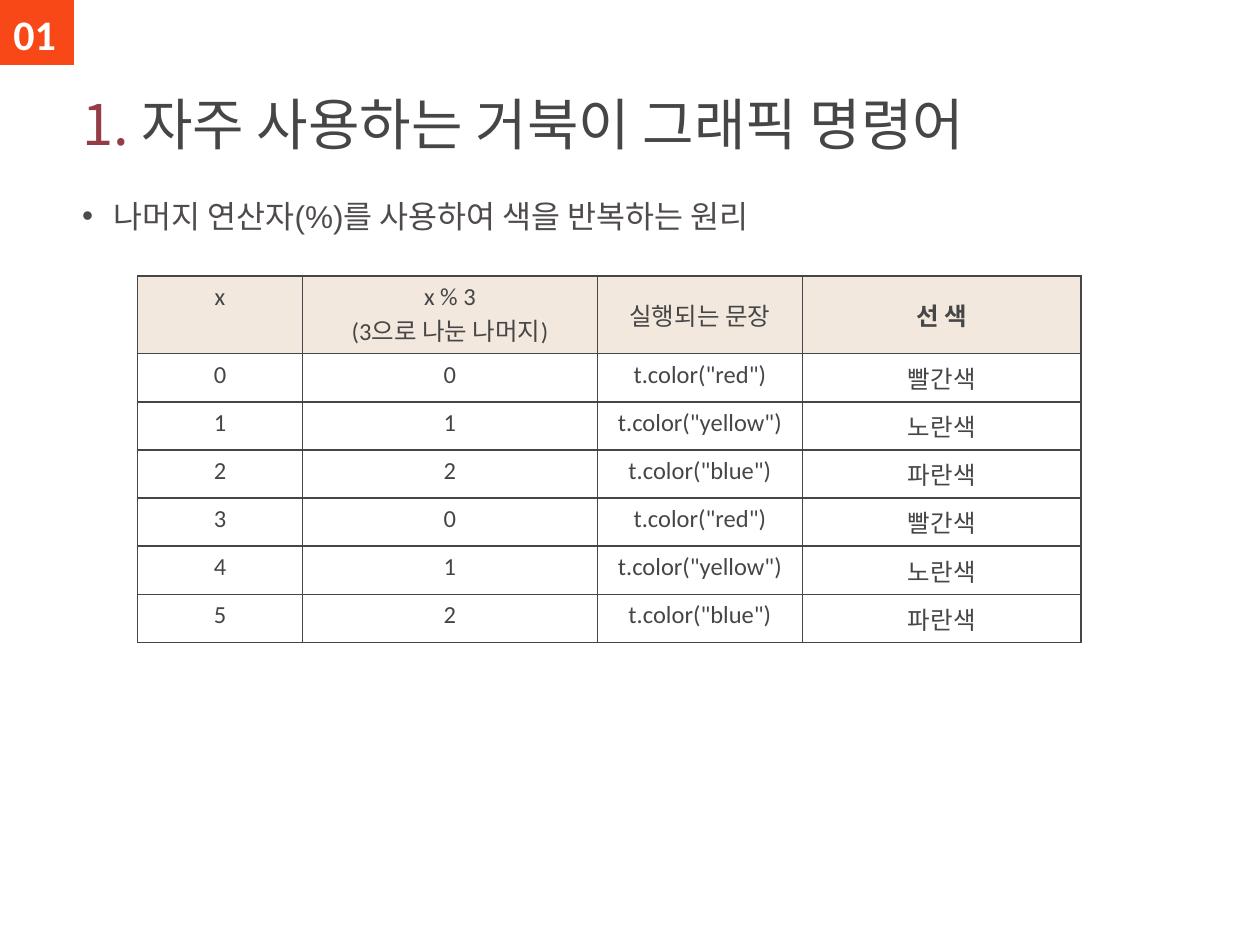
from lxml.etree import SubElement
from pptx import Presentation
from pptx.dml.color import RGBColor
from pptx.enum.shapes import MSO_SHAPE
from pptx.enum.text import MSO_ANCHOR, MSO_AUTO_SIZE, PP_ALIGN
from pptx.oxml.ns import qn
from pptx.util import Cm, Pt

KOREAN_FONT = "Noto Sans CJK KR"
DARK = "464646"
HEADER_FILL = "F2E8DE"
COLUMN_WIDTHS = [3.33, 5.94, 4.14, 5.61]
HEADER_HEIGHT, ROW_HEIGHT = 1.57, 0.97
HEADERS = ["x", "x % 3\n(3으로 나눈 나머지)", "실행되는 문장", "선 색"]
LINE_COLORS = [("red", "빨간색"), ("yellow", "노란색"), ("blue", "파란색")]


def color(hex_string):
    return RGBColor.from_string(hex_string)


def place(shape, left, top, width, height):
    shape.left, shape.top = Cm(left), Cm(top)
    shape.width, shape.height = Cm(width), Cm(height)


def set_font(font, name, size, hex_color, bold=False):
    font.name, font.size, font.bold = name, Pt(size), bold
    font.color.rgb = color(hex_color)


def set_korean_font(paragraph):
    """Give every run its East Asian typeface."""
    for run in paragraph.runs:
        SubElement(run._r.get_or_add_rPr(), qn("a:ea"), typeface=KOREAN_FONT)


def fill_title(title):
    place(title, 1.4, 1.04, 22.53, 2.24)
    frame = title.text_frame
    frame.auto_size = MSO_AUTO_SIZE.NONE
    frame.vertical_anchor = MSO_ANCHOR.BOTTOM
    paragraph = frame.paragraphs[0]
    paragraph.alignment = PP_ALIGN.LEFT
    for text, hex_color in [("1. ", "953D46"), ("자주 사용하는 거북이 그래픽 명령어", DARK)]:
        run = paragraph.add_run()
        run.text = text
        set_font(run.font, KOREAN_FONT, 32, hex_color)
    set_korean_font(paragraph)


def fill_body(body, text):
    place(body, 1.4, 3.76, 22.53, 0.97)
    frame = body.text_frame
    frame.auto_size = MSO_AUTO_SIZE.NONE
    frame.text = text
    paragraph = frame.paragraphs[0]
    paragraph.line_spacing = 1.1
    paragraph.space_before = Pt(6)
    set_font(paragraph.font, "Arial", 18, "504B4B")
    set_korean_font(paragraph)
    properties = paragraph._p.get_or_add_pPr()
    properties.set("marL", str(Cm(0.64)))
    properties.set("indent", str(Cm(-0.64)))


def add_chapter_badge(slide, number):
    square = slide.shapes.add_shape(
        MSO_SHAPE.FLOWCHART_PROCESS, 0, 0, Cm(1.5), Cm(1.32))
    square.shadow.inherit = False
    square.fill.solid()
    square.fill.fore_color.rgb = color("F84818")
    square.line.fill.background()

    label = slide.shapes.add_textbox(Cm(-0.3), Cm(0.05), Cm(2), Cm(1.27))
    label.text_frame.word_wrap = True
    label.text_frame.text = number
    paragraph = label.text_frame.paragraphs[0]
    paragraph.alignment = PP_ALIGN.CENTER
    set_font(paragraph.font, "Calibri", 24, "FFFFFF", bold=True)


def add_borders(cell):
    properties = cell._tc.get_or_add_tcPr()
    for side in ("a:lnL", "a:lnR", "a:lnT", "a:lnB"):
        line = SubElement(properties, qn(side), w=str(Pt(1)))
        fill = SubElement(line, qn("a:solidFill"))
        SubElement(fill, qn("a:srgbClr"), val=DARK)


def format_cell(cell, text, is_header, bold, middle):
    add_borders(cell)
    if is_header:
        cell.fill.solid()
        cell.fill.fore_color.rgb = color(HEADER_FILL)
    else:
        cell.fill.background()
    if middle:
        cell.vertical_anchor = MSO_ANCHOR.MIDDLE
    cell.text = text
    for paragraph in cell.text_frame.paragraphs:
        paragraph.alignment = PP_ALIGN.CENTER
        set_font(paragraph.font, "Calibri", 14, DARK, bold)
        set_korean_font(paragraph)


def add_remainder_table(slide):
    rows = [HEADERS]
    for x in range(6):
        remainder = x % 3
        name, korean_name = LINE_COLORS[remainder]
        rows.append([str(x), str(remainder), f't.color("{name}")', korean_name])

    height = HEADER_HEIGHT + ROW_HEIGHT * (len(rows) - 1)
    table = slide.shapes.add_table(
        len(rows), len(HEADERS), Cm(2.77), Cm(5.56),
        Cm(sum(COLUMN_WIDTHS)), Cm(height)).table
    for column, width in zip(table.columns, COLUMN_WIDTHS):
        column.width = Cm(width)
    for row_index, texts in enumerate(rows):
        is_header = row_index == 0
        table.rows[row_index].height = Cm(HEADER_HEIGHT if is_header else ROW_HEIGHT)
        for column_index, text in enumerate(texts):
            format_cell(table.cell(row_index, column_index), text, is_header,
                        bold=is_header and column_index == 3,
                        middle=is_header and column_index >= 2)


def main():
    presentation = Presentation()
    presentation.slide_width, presentation.slide_height = Cm(25.4), Cm(19.05)
    slide = presentation.slides.add_slide(presentation.slide_layouts[1])
    fill_title(slide.shapes.title)
    add_chapter_badge(slide, "01")
    fill_body(slide.placeholders[1], "나머지 연산자(%)를 사용하여 색을 반복하는 원리")
    add_remainder_table(slide)
    presentation.save("out.pptx")


if __name__ == "__main__":
    main()
